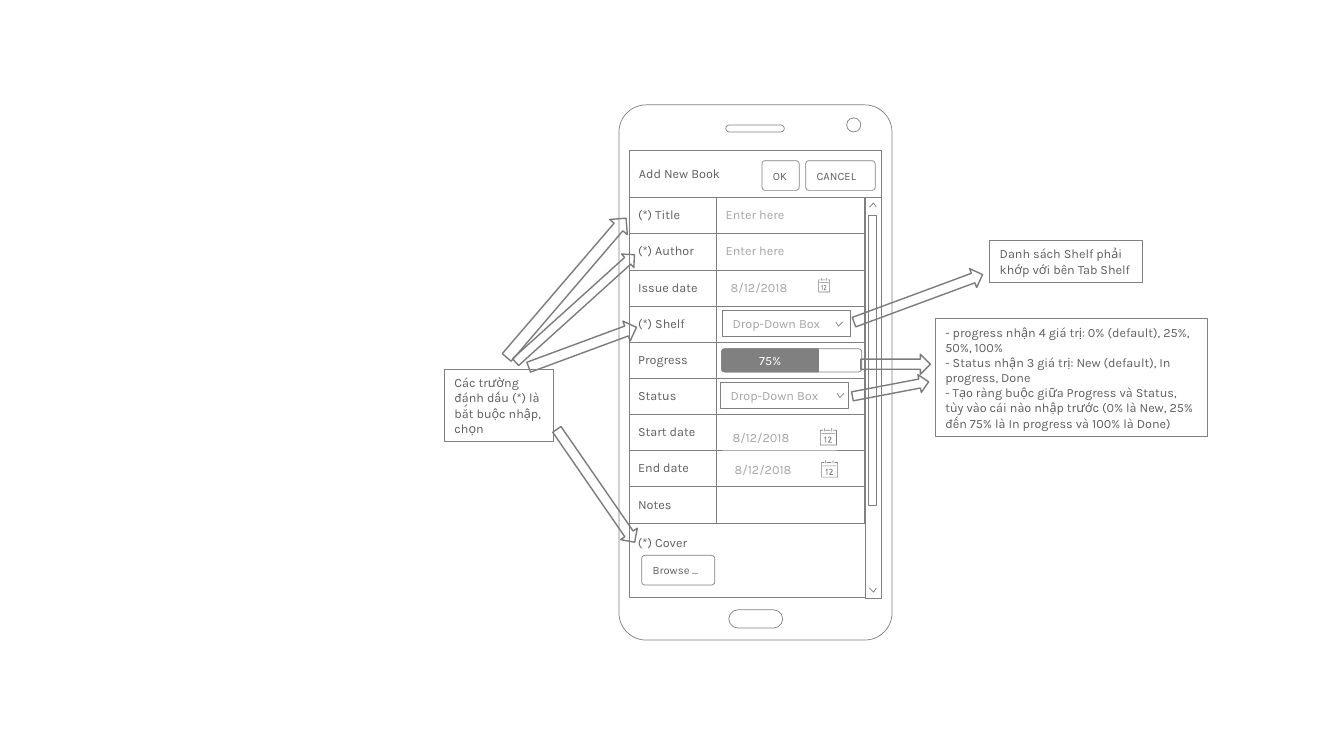
from dataclasses import dataclass

from pptx import Presentation
from pptx import util as u
from pptx.dml.color import RGBColor
from pptx.enum import shapes, text
from pptx.oxml import parse_xml
from pptx.oxml.ns import nsdecls

Pt = u.Pt
KIND = shapes.MSO_SHAPE


@dataclass(frozen=True)
class Theme:
    font: str = "Karla"
    body: int = 9
    button: int = 8
    hairline: float = 0.5
    white: RGBColor = RGBColor(0xFF, 0xFF, 0xFF)
    line: RGBColor = RGBColor(0x80, 0x80, 0x80)
    arrow: RGBColor = RGBColor(0x7C, 0x7C, 0x7C)
    ink: RGBColor = RGBColor(0x5F, 0x5F, 0x5F)
    hint: RGBColor = RGBColor(0xA5, 0xA5, 0xA5)


theme = Theme()
prs = Presentation()
prs.slide_width, prs.slide_height = Pt(960), Pt(540)
slide = prs.slides.add_slide(prs.slide_layouts[6])


def write(frame, words, color=theme.ink, size=theme.body, align=text.PP_ALIGN.LEFT):
    frame.text = words
    for paragraph in frame.paragraphs:
        paragraph.alignment = align
        paragraph.font.name = theme.font
        paragraph.font.size = Pt(size)
        paragraph.font.color.rgb = color


def add_box(kind, place, words="", radius=None, fill=theme.white, line=theme.line,
            color=theme.ink, size=theme.body, right=7.2):
    """Add a flat outlined shape; a fill or line of None leaves that part out."""
    box = slide.shapes.add_shape(kind, *map(Pt, place))
    box.shadow.inherit = False
    for part, paint in ((box.fill, fill), (box.line.fill, line)):
        if paint is None:
            part.background()
        else:
            part.solid()
            part.fore_color.rgb = paint
    if line is not None:
        box.line.width = Pt(theme.hairline)
    if radius is not None:
        box.adjustments[0] = radius
    if words:
        frame = box.text_frame
        frame.word_wrap = True
        frame.vertical_anchor = text.MSO_ANCHOR.MIDDLE
        frame.margin_left, frame.margin_right = Pt(7.2), Pt(right)
        frame.margin_top = frame.margin_bottom = Pt(4.3)
        write(frame, words, color, size)
    return box


# Phone body and screen
add_box(KIND.ROUNDED_RECTANGLE, (442.1, 74.9, 195.1, 382.3), radius=0.1)
add_box(KIND.ROUNDED_RECTANGLE, (520.6, 435.6, 38.5, 13), radius=0.5)
add_box(KIND.OVAL, (604.8, 84.2, 10.1, 10.1))
add_box(KIND.ROUNDED_RECTANGLE, (518.4, 89.3, 41.8, 5), radius=0.5)
add_box(KIND.RECTANGLE, (449.3, 107.3, 180, 319.7))
add_box(KIND.RECTANGLE, (449.3, 107.3, 180, 33.8), fill=None)
add_box(KIND.RECTANGLE, (449.3, 114.5, 100, 18.7), "Add New Book", fill=None, line=None)

# Form fields
fields = [("(*) Title", "Enter here"), ("(*) Author", "Enter here"), ("Issue date", ""),
          ("(*) Shelf", ""), ("Progress", ""), ("Status", ""), ("Start date", ""),
          ("End date", ""), ("Notes", "")]
row_height = 25.84
form = slide.shapes.add_table(len(fields), 2, Pt(449.3), Pt(141.1), Pt(168.4),
                              Pt(row_height * len(fields))).table
form.first_row = form.horz_banding = False
form.columns[0].width, form.columns[1].width = Pt(62.6), Pt(105.8)
for row, field in enumerate(fields):
    form.rows[row].height = Pt(row_height)
    for column, words in enumerate(field):
        cell = form.cell(row, column)
        cell.fill.background()
        cell.vertical_anchor = text.MSO_ANCHOR.MIDDLE
        cell.margin_left = cell.margin_right = Pt(6.5)
        cell.margin_top = cell.margin_bottom = 0
        write(cell.text_frame, words, theme.hint if column else theme.ink)
        for index, side in enumerate(("lnL", "lnR", "lnT", "lnB")):
            border = parse_xml(
                f'<a:{side} {nsdecls("a")} w="{Pt(theme.hairline)}"><a:solidFill>'
                f'<a:srgbClr val="{theme.line}"/></a:solidFill></a:{side}>')
            cell._tc.get_or_add_tcPr().insert(index, border)

# Scroll bar
add_box(KIND.RECTANGLE, (618.1, 141.1, 11.2, 286))
add_box(KIND.RECTANGLE, (620.6, 154.1, 5.2, 206.6))

# Date pickers: date box, then calendar place
date_pickers = [((514.8, 195.8), (584.6, 198.7, 8.2, 10.1)),
                ((516.2, 303.1), (585.8, 305.9, 11.9, 12.2)),
                ((517.7, 326.2), (586.7, 328.9, 11.9, 12.2))]
calendar_outlines = [
    [(24, 0), (28, 0), (28, 18), (24, 18)],
    [(68, 0), (72, 0), (72, 18), (68, 18)],
    [(0, 10), (0, 100), (100, 100), (100, 10), (80, 10), (80, 14), (96, 14),
     (96, 96), (4, 96), (4, 14), (19, 14), (19, 10)],
    [(32, 10), (61, 10), (61, 14), (32, 14)],
    [(8, 30), (90, 30), (90, 34), (8, 34)],
    [(32, 49), (36, 49), (36, 84), (32, 84), (32, 56), (26, 60), (26, 56)],
    [(48, 52), (57, 49), (66, 52), (68, 62), (54, 80), (70, 80), (70, 84),
     (48, 84), (48, 80), (62, 62), (62, 55), (57, 53), (48, 57)],
]
for (left, top), (icon_left, icon_top, icon_width, icon_height) in date_pickers:
    add_box(KIND.RECTANGLE, (left, top, 81.4, 18.7), "8/12/2018", line=None,
            color=theme.hint, right=18)
    pen = slide.shapes.build_freeform(*calendar_outlines[0][0],
                                      scale=(Pt(icon_width) / 100, Pt(icon_height) / 100))
    for outline in calendar_outlines:
        pen.move_to(*outline[0])
        pen.add_line_segments(outline[1:], close=True)
    calendar = pen.convert_to_shape(Pt(icon_left), Pt(icon_top))
    calendar.shadow.inherit = False
    calendar.fill.solid()
    calendar.fill.fore_color.rgb = theme.line
    calendar.line.fill.background()

# Drop-down boxes
for left, top in ((516.2, 221.8), (514.8, 272.9)):
    add_box(KIND.RECTANGLE, (left, top, 91.4, 18.7), "Drop-Down Box",
            color=theme.hint, right=20.2)

# Chevrons of the scroll bar and the drop-downs: left, outer y, tip y
for left, outer, tip in ((621.4, 148.3, 145.4), (621.4, 419.8, 422.6),
                         (596.9, 230.5, 233.4), (597.6, 280.9, 283.8)):
    pen = slide.shapes.build_freeform(left, outer, scale=float(Pt(1)))
    pen.add_line_segments([(left + 2.5, tip), (left + 5, outer)], close=False)
    chevron = pen.convert_to_shape()
    chevron.shadow.inherit = False
    chevron.fill.background()
    chevron.line.color.rgb = theme.line
    chevron.line.width = Pt(theme.hairline)

# Progress bar
add_box(KIND.ROUNDED_RECTANGLE, (515.5, 249.1, 100.1, 16.6), radius=0.142)
progress = add_box(KIND.ROUND_2_SAME_RECTANGLE, (541.7, 222.7, 16.6, 69.4), "75%",
                   radius=0.142, fill=theme.line, color=theme.white)
progress.adjustments[1] = 0.036
progress.rotation = 270
progress.text_frame.margin_left = progress.text_frame.margin_right = 0
progress.text_frame.paragraphs[0].alignment = text.PP_ALIGN.CENTER
progress.text_frame._txBody.bodyPr.set("vert", "vert")

# Cover label and buttons
add_box(KIND.RECTANGLE, (448.6, 378, 60, 18.7), "(*) Cover", fill=None, line=None)
for words, left, top, width in (("Browse …", 458.4, 396.7, 52.2), ("OK", 544.3, 114.8, 26.6),
                                ("CANCEL", 575.5, 114.8, 49.7)):
    button = add_box(KIND.ROUNDED_RECTANGLE, (left, top, width, 21.2), words,
                     radius=0.112, size=theme.button)
    button.text_frame.word_wrap = False if words == "OK" else True

# Notes around the phone
notes = [
    ((707, 171.7, 109, 30.2), "Danh sách Shelf phải khớp với bên Tab Shelf"),
    ((317.5, 263.8, 77.8, 51.5), "Các trường đánh dấu (*) là bắt buộc nhập, chọn"),
    ((668.2, 227.5, 194.4, 84.4),
     "- progress nhận 4 giá trị: 0% (default), 25%, 50%, 100%\n"
     "- Status nhận 3 giá trị: New (default), In progress, Done\n"
     "- Tạo ràng buộc giữa Progress và Status, tùy vào cái nào nhập trước "
     "(0% là New, 25% đến 75% là In progress và 100% là Done)"),
]
for place, words in notes:
    add_box(KIND.RECTANGLE, place, words)

# Arrows between notes and fields: place, rotation
arrows = [((607, 205.9, 97.9, 14.4), 339.7), ((353.5, 213.8, 114.5, 13), 317.9),
          ((339.1, 197.3, 131, 16.6), 310.6), ((608.4, 271.4, 55.4, 13), 349.2),
          ((614.9, 253, 49.7, 14.4), 0), ((376.6, 339.8, 97.9, 14.4), 55.4),
          ((375.1, 240.5, 82.1, 15.1), 339.7)]
for place, rotation in arrows:
    arrow = add_box(KIND.RIGHT_ARROW, place, fill=None, line=theme.arrow)
    arrow.line.width = Pt(1)
    arrow.rotation = rotation

prs.save("out.pptx")
